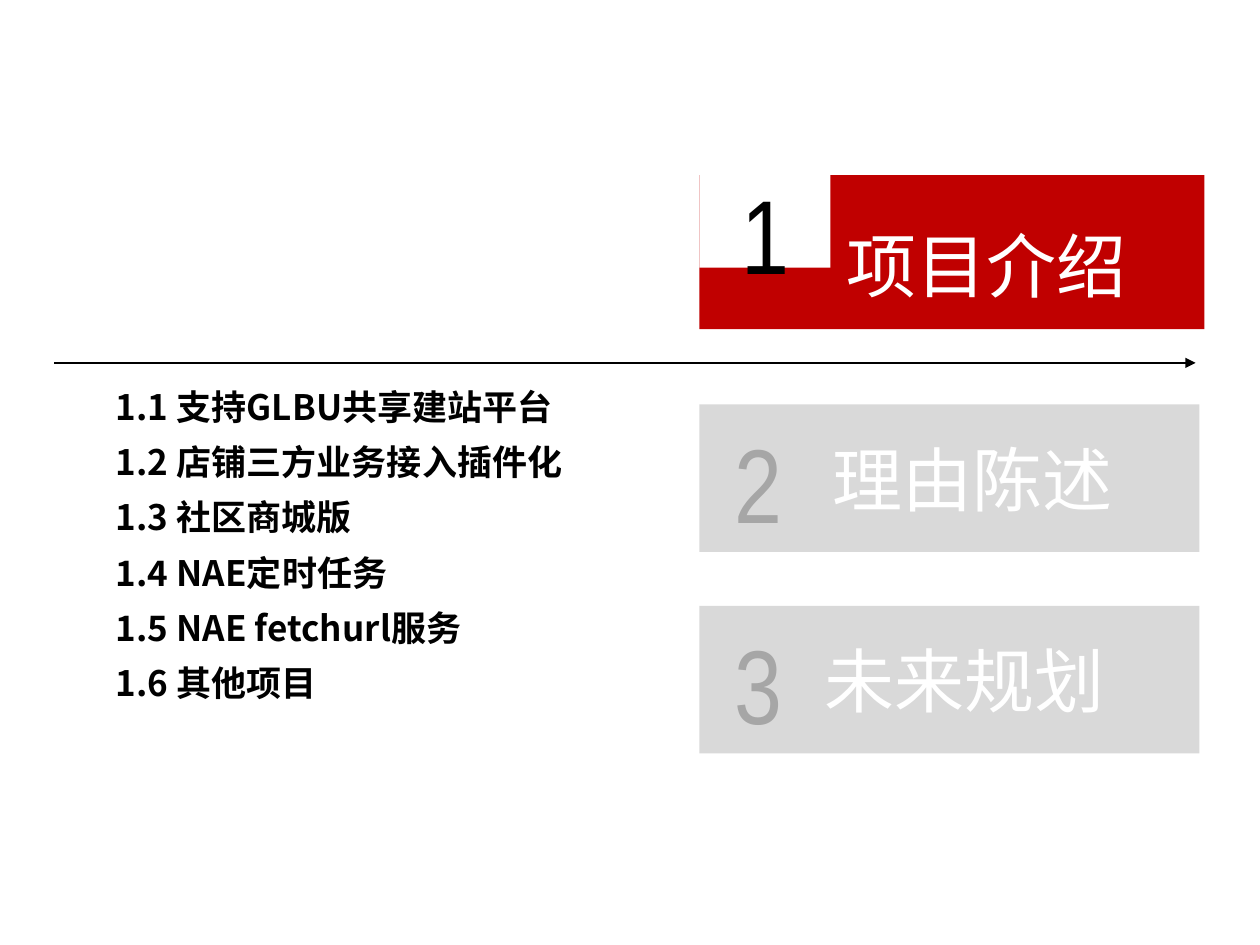
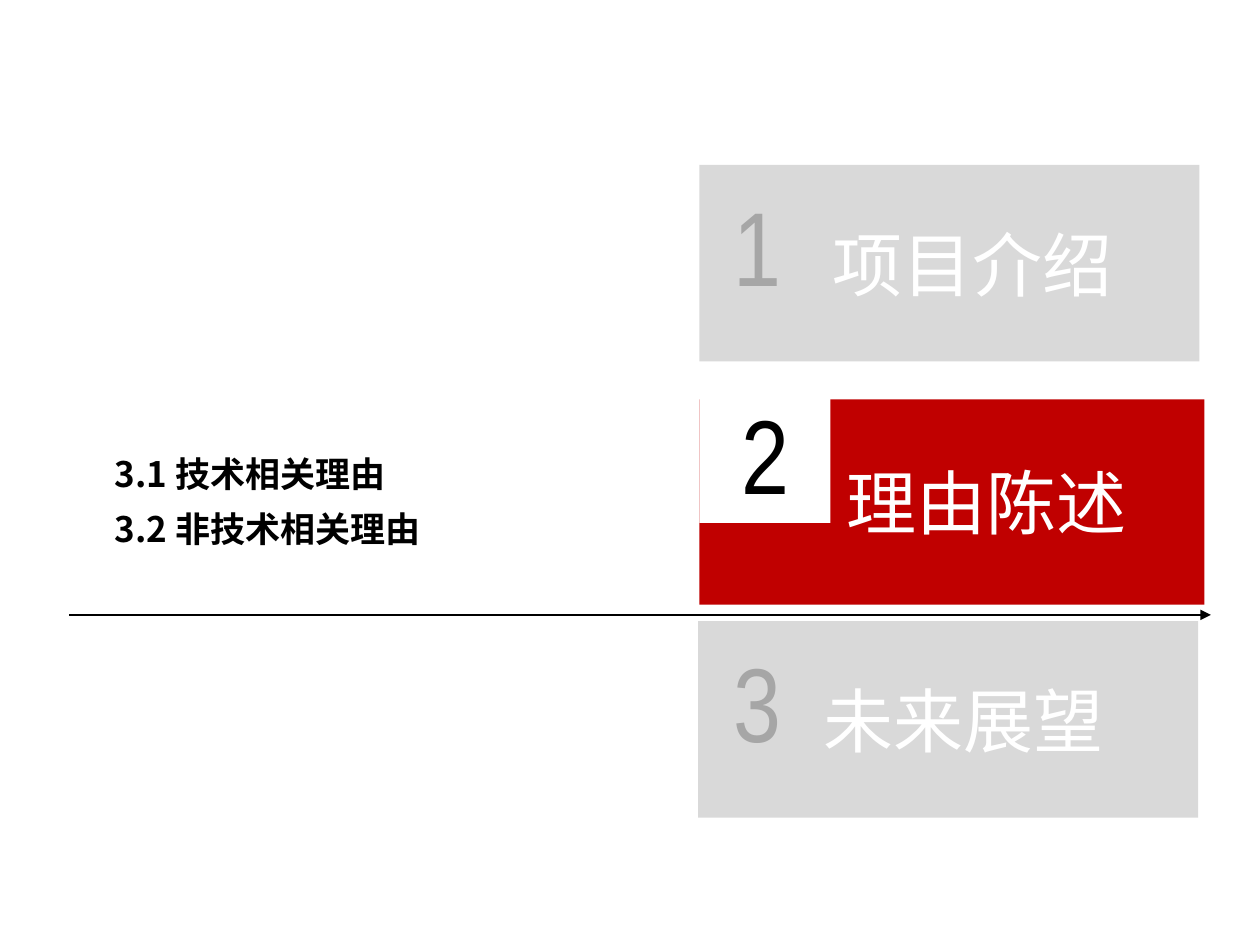
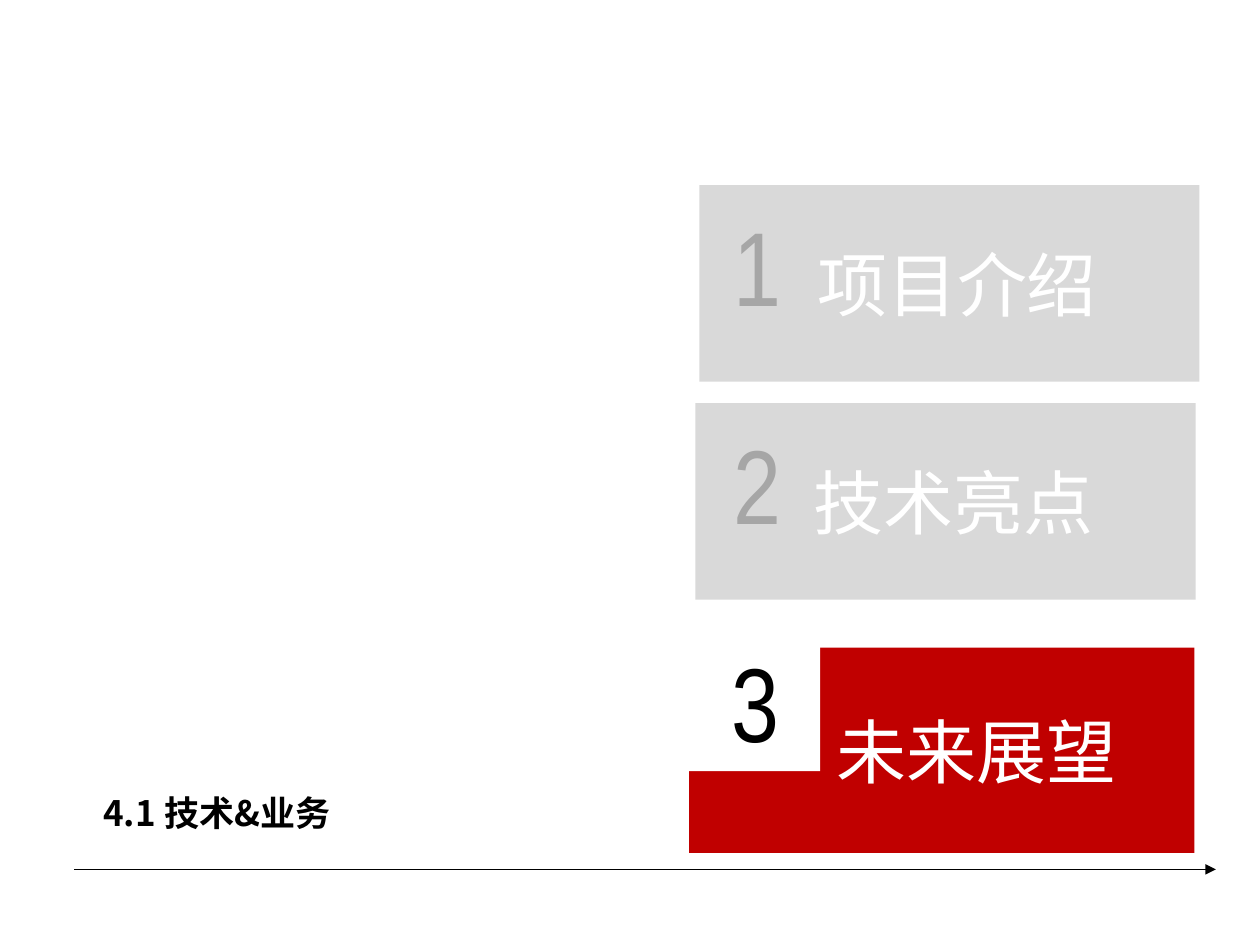
from dataclasses import dataclass

from lxml import etree
from pptx import Presentation
from pptx.dml.color import RGBColor
from pptx.enum.shapes import MSO_CONNECTOR, MSO_SHAPE
from pptx.enum.text import MSO_ANCHOR, MSO_AUTO_SIZE, PP_ALIGN
from pptx.oxml.ns import qn
from pptx.util import Inches, Pt

RECTANGLE = MSO_SHAPE.RECTANGLE
STRAIGHT = MSO_CONNECTOR.STRAIGHT
TOP, MIDDLE = MSO_ANCHOR.TOP, MSO_ANCHOR.MIDDLE
LEFT, CENTER = PP_ALIGN.LEFT, PP_ALIGN.CENTER
GROW = MSO_AUTO_SIZE.SHAPE_TO_FIT_TEXT
TITLE_AND_CONTENT = 1


@dataclass(frozen=True)
class Theme:
    red: str = "C00000"
    white: str = "FFFFFF"
    black: str = "000000"
    panel: str = "D9D9D9"
    muted: str = "A6A6A6"
    cjk: str = "Noto Sans CJK SC"
    label: str = "Calibri"
    digit: str = "Arial Narrow"
    list_size: int = 20
    heading_size: int = 40
    digit_size: int = 60


THEME = Theme()

# Column widths and offsets, in inches
BANNER_WIDTH, PANEL_WIDTH, NOTCH_WIDTH = 4.01, 3.97, 1.04
HEADING_OFFSET, DIGIT_OFFSET = 1.07, 0.24
LIST_WIDTH, ARROW_LENGTH = 5.25, 9.06
LABEL_STEP = 0.12  # extra left inset for each step a label is shifted


@dataclass(frozen=True)
class Section:
    number: int
    name: str
    left: float
    top: float
    shift: int = 0


@dataclass(frozen=True)
class Agenda:
    scale: float        # row height relative to the full-height rows
    active: Section
    others: tuple
    digit_left: float   # number column of the grey panels
    arrow: tuple        # left, top
    list_box: tuple     # left, top, height
    items: tuple


AGENDAS = (
    Agenda(0.75, Section(1, "项目介绍", 5.55, 1.39),
           (Section(2, "理由陈述", 5.55, 3.21, 3), Section(3, "未来规划", 5.55, 4.81, 2)),
           5.73, (0.43, 2.88), (0.43, 3.01, 4.68),
           ("1.1 支持GLBU共享建站平台", "1.2 店铺三方业务接入插件化", "1.3 社区商城版",
            "1.4 NAE定时任务", "1.5 NAE fetchurl服务", "1.6 其他项目")),
    Agenda(1, Section(2, "理由陈述", 5.55, 3.17),
           (Section(1, "项目介绍", 5.55, 1.31, 3), Section(3, "未来展望", 5.54, 4.93, 2)),
           5.72, (0.55, 4.88), (0.42, 3.54, 2.79),
           ("3.1 技术相关理由", "3.2 非技术相关理由")),
    Agenda(1, Section(3, "未来展望", 5.47, 5.14),
           (Section(1, "项目介绍", 5.55, 1.47, 1), Section(2, "技术亮点", 5.52, 3.2, 1)),
           5.72, (0.59, 6.9), (0.33, 6.23, 1.85),
           ("4.1 技术&业务",)),
)


def place(shape, left, top, width, height):
    shape.left, shape.top = Inches(left), Inches(top)
    shape.width, shape.height = Inches(width), Inches(height)


def style(para, face, size, color, bold=False, align=LEFT):
    """Format a whole paragraph, with the shared face for Chinese glyphs."""
    para.alignment = align
    font = para.font
    font.name, font.size, font.bold = face, Pt(size), bold
    font.color.rgb = RGBColor.from_string(color)
    east_asian = etree.Element(qn("a:ea"), typeface=THEME.cjk)
    font._element.find(qn("a:latin")).addnext(east_asian)


def add_panel(page, left, top, width, height, color):
    panel = page.shapes.add_shape(
        RECTANGLE, Inches(left), Inches(top), Inches(width), Inches(height))
    panel.shadow.inherit = False
    panel.fill.solid()
    panel.fill.fore_color.rgb = RGBColor.from_string(color)
    panel.line.fill.background()
    return panel


def add_digit(page, number, left, top, width, height, color):
    box = page.shapes.add_textbox(
        Inches(left), Inches(top), Inches(width), Inches(height))
    frame = box.text_frame
    frame.word_wrap, frame.auto_size = True, GROW
    frame.text = str(number)
    style(frame.paragraphs[0], THEME.digit, THEME.digit_size, color)


def add_arrow(page, left, top):
    arrow = page.shapes.add_connector(
        STRAIGHT, Inches(left), Inches(top), Inches(left + ARROW_LENGTH), Inches(top))
    arrow.line.color.rgb = RGBColor.from_string(THEME.black)
    arrow.line.width = Pt(1)
    etree.SubElement(arrow.line._get_or_add_ln(), qn("a:tailEnd"), type="triangle")
    etree.SubElement(arrow._element.spPr, qn("a:effectLst"))


def add_active(page, section, scale):
    """Red banner with a white notch for the number; its name is the title."""
    left, top = section.left, section.top
    add_panel(page, left, top, BANNER_WIDTH, 1.63 * scale, THEME.red)
    add_panel(page, left, top - 0.04 * scale, NOTCH_WIDTH, 1.02 * scale, THEME.white)
    title = page.shapes.title
    page.shapes._spTree.append(title._element)  # bring in front of the banner
    place(title, left + HEADING_OFFSET, top + 0.43 * scale, 2.67, 0.77 * scale)
    frame = title.text_frame
    frame.text = section.name
    frame.word_wrap, frame.auto_size, frame.vertical_anchor = True, GROW, TOP
    style(frame.paragraphs[0], THEME.cjk, THEME.heading_size, THEME.white)
    add_digit(page, section.number, left + DIGIT_OFFSET, top - 0.13 * scale,
              0.65, 1.11 * scale, THEME.black)


def add_inactive(page, section, scale, digit_left):
    """Grey panel with a muted number."""
    panel = add_panel(page, section.left, section.top, PANEL_WIDTH, 1.56 * scale, THEME.panel)
    frame = panel.text_frame
    frame.text = section.name
    frame.vertical_anchor = MIDDLE
    frame.margin_left = Inches(0.1 + LABEL_STEP * section.shift)
    style(frame.paragraphs[0], THEME.label, THEME.heading_size, THEME.white, align=CENTER)
    add_digit(page, section.number, digit_left, section.top + 0.08 * scale,
              0.68, 1.11 * scale, THEME.muted)


def fill_list(body, items, left, top, height):
    place(body, left, top, LIST_WIDTH, height)
    frame = body.text_frame
    frame.text = "\n".join(items)
    frame.word_wrap, frame.auto_size, frame.vertical_anchor = True, GROW, TOP
    for para in frame.paragraphs:
        para.level = 1
        para.space_before, para.space_after = Pt(0), Pt(7.5)
        style(para, THEME.cjk, THEME.list_size, THEME.black, bold=True)
        properties = para._p.get_or_add_pPr()
        properties.set("marL", str(Inches(0.77)))
        properties.set("indent", str(Inches(-0.38)))
        properties.find(qn("a:defRPr")).addprevious(etree.Element(qn("a:buNone")))


def add_agenda(deck, agenda):
    page = deck.slides.add_slide(deck.slide_layouts[TITLE_AND_CONTENT])
    left, top, height = agenda.list_box
    fill_list(page.placeholders[1], agenda.items, left, top, height)
    add_arrow(page, *agenda.arrow)
    add_active(page, agenda.active, agenda.scale)
    for section in agenda.others:
        add_inactive(page, section, agenda.scale, agenda.digit_left)


def main():
    deck = Presentation()
    deck.slide_width, deck.slide_height = Inches(10), Inches(7.5)
    for agenda in AGENDAS:
        add_agenda(deck, agenda)
    deck.save("out.pptx")


main()
